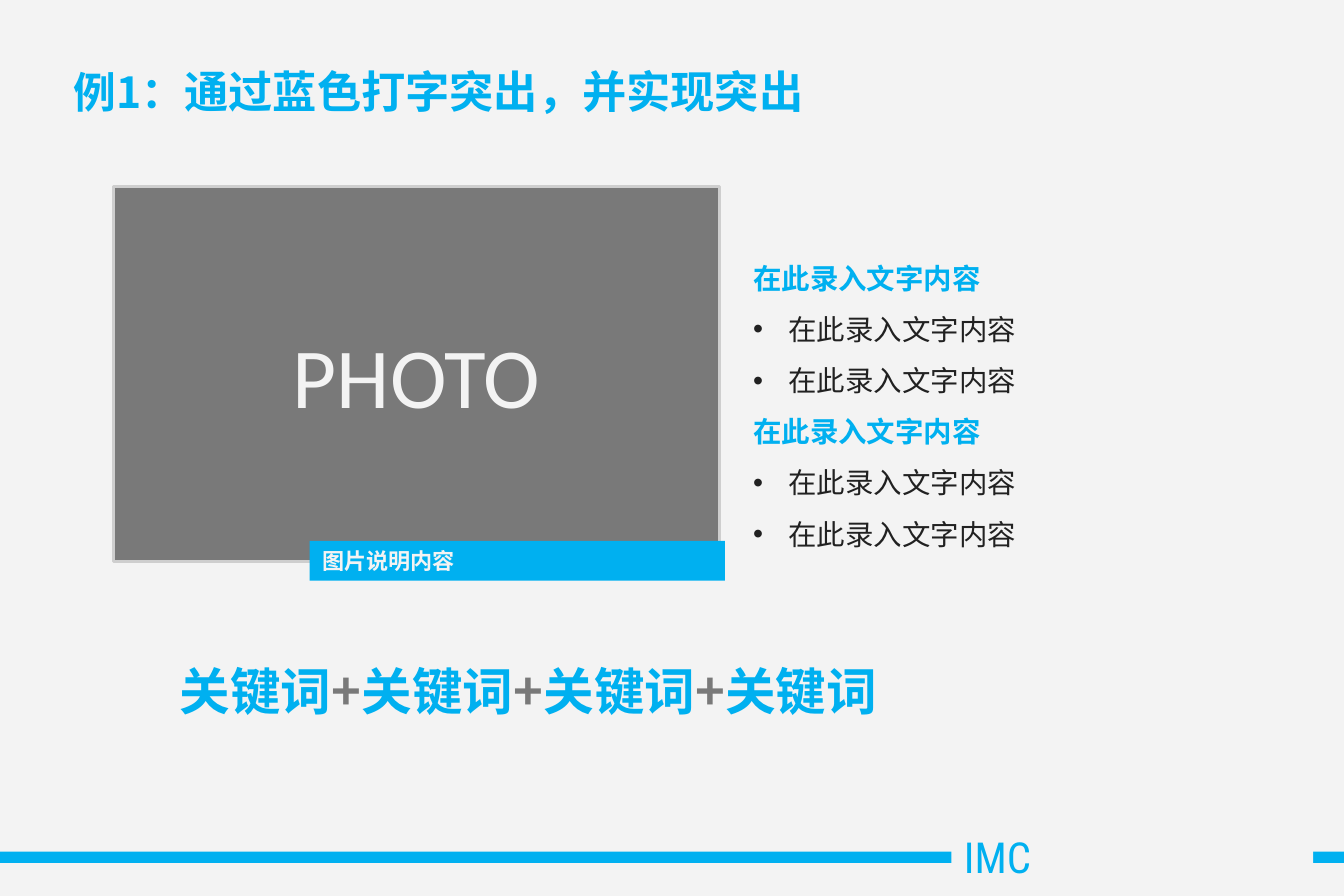
from dataclasses import dataclass

from lxml import etree
from pptx import Presentation
from pptx.dml.color import RGBColor
from pptx.enum.shapes import MSO_SHAPE
from pptx.enum.text import MSO_ANCHOR, MSO_AUTO_SIZE, PP_ALIGN
from pptx.oxml.ns import qn
from pptx.util import Pt

RECT = MSO_SHAPE.RECTANGLE
TOP, MIDDLE = MSO_ANCHOR.TOP, MSO_ANCHOR.MIDDLE
LEFT, CENTER = PP_ALIGN.LEFT, PP_ALIGN.CENTER
FIXED = MSO_AUTO_SIZE.NONE
SCALE = 9144  # EMU in one px, 100 px to the inch


@dataclass(frozen=True)
class Theme:
    blue: str = "00B0F0"
    pale: str = "F3F3F3"
    grey: str = "797979"
    edge: str = "CECECE"
    ink: str = "212121"
    cjk: str = "Noto Sans CJK SC"
    sans: str = "Calibri"
    narrow: str = "Roboto Condensed"
    label: int = 27
    title: int = 28
    photo: int = 54
    key: int = 32
    note: int = 14
    body: int = 18


THEME = Theme()


def px(n):
    return n * SCALE


def rgb(code):
    return RGBColor.from_string(code)


def set_font(para, face, size, color, bold=False):
    font = para.font
    font.name, font.size, font.bold = face, Pt(size), bold
    font.color.rgb = rgb(color)
    base = para._p.pPr.find(qn("a:defRPr"))
    etree.SubElement(base, qn("a:ea")).set("typeface", face)


def set_frame(frame, anchor=TOP, pad=(11, 6)):
    frame.word_wrap = True
    frame.auto_size = FIXED
    frame.vertical_anchor = anchor
    frame.margin_left = frame.margin_right = px(pad[0])
    frame.margin_top = frame.margin_bottom = px(pad[1])


def write(frame, text, face, size, color, bold=False, align=LEFT):
    para = frame.paragraphs[0]
    para.alignment = align
    para.add_run().text = text
    set_font(para, face, size, color, bold)
    return para


def add_box(slide, box, fill, edge=None):
    shape = slide.shapes.add_shape(RECT, *map(px, box))
    shape.shadow.inherit = False
    shape.fill.solid()
    shape.fill.fore_color.rgb = rgb(fill)
    if edge:
        shape.line.color.rgb = rgb(edge)
        shape.line.width = Pt(2)
    else:
        shape.line.fill.background()
    return shape


def add_text(slide, box, pad=(11, 6)):
    frame = slide.shapes.add_textbox(*map(px, box)).text_frame
    set_frame(frame, pad=pad)
    return frame


def add_bullet(para, color):
    props = para._p.get_or_add_pPr()
    props.set("marL", str(px(31)))
    props.set("indent", str(-px(31)))
    tint = etree.Element(qn("a:buClr"))
    etree.SubElement(tint, qn("a:srgbClr")).set("val", color)
    face = etree.Element(qn("a:buFont"))
    face.set("typeface", "Arial")
    mark = etree.Element(qn("a:buChar"))
    mark.set("char", "•")
    base = props.find(qn("a:defRPr"))
    for part in (tint, face, mark):
        base.addprevious(part)


def add_title(slide):
    title = slide.shapes.title
    title.left, title.top, title.width, title.height = map(px, (54, 49, 1063, 62))
    frame = title.text_frame
    set_frame(frame, MIDDLE)
    para = write(frame, "例1：", THEME.cjk, THEME.title, THEME.blue, True)
    para.runs[0].font.size = Pt(THEME.label)
    para.add_run().text = "通过蓝色打字突出，并实现突出"


def add_footer(slide):
    add_box(slide, (0, 748, 1181, 10), THEME.blue)
    frame = add_box(slide, (836, 724, 318, 56), THEME.pale).text_frame
    set_frame(frame)
    write(frame, "IMC", THEME.narrow, THEME.label, THEME.blue)


def add_photo(slide):
    frame = add_box(slide, (100, 164, 532, 329), THEME.grey, THEME.edge).text_frame
    set_frame(frame, MIDDLE, (10, 5))
    write(frame, "PHOTO", THEME.sans, THEME.photo, THEME.pale, align=CENTER)
    frame = add_box(slide, (272, 475, 365, 35), THEME.blue).text_frame
    set_frame(frame)
    write(frame, "图片说明内容", THEME.cjk, THEME.note, THEME.pale, True)


def add_keys(slide, words):
    frame = add_text(slide, (147, 574, 922, 65))
    para = write(frame, words[0], THEME.cjk, THEME.key, THEME.blue, True)
    for word in words[1:]:
        plus = para.add_run()
        plus.text = "+"
        plus.font.color.rgb = rgb(THEME.grey)
        para.add_run().text = word


def add_list(slide, groups):
    frame = add_text(slide, (652, 209, 477, 280), (10, 5))
    lines = [(text, n == 0) for group in groups for n, text in enumerate(group)]
    for n, (text, head) in enumerate(lines):
        para = frame.add_paragraph() if n else frame.paragraphs[0]
        para.line_spacing = 1.5
        para.add_run().text = text
        color = THEME.blue if head else THEME.ink
        set_font(para, THEME.cjk, THEME.body, color, head)
        if not head:
            add_bullet(para, color)


def main():
    deck = Presentation()
    deck.slide_width, deck.slide_height = px(1181), px(787)
    slide = deck.slides.add_slide(deck.slide_layouts[5])
    slide.background.fill.solid()
    slide.background.fill.fore_color.rgb = rgb(THEME.pale)

    # Footer band and heading
    add_footer(slide)
    add_title(slide)

    # Photo with caption, and the list beside it
    add_photo(slide)
    add_list(slide, [["在此录入文字内容"] * 3] * 2)

    # Keyword sum
    add_keys(slide, ["关键词"] * 4)
    deck.save("out.pptx")


if __name__ == "__main__":
    main()
